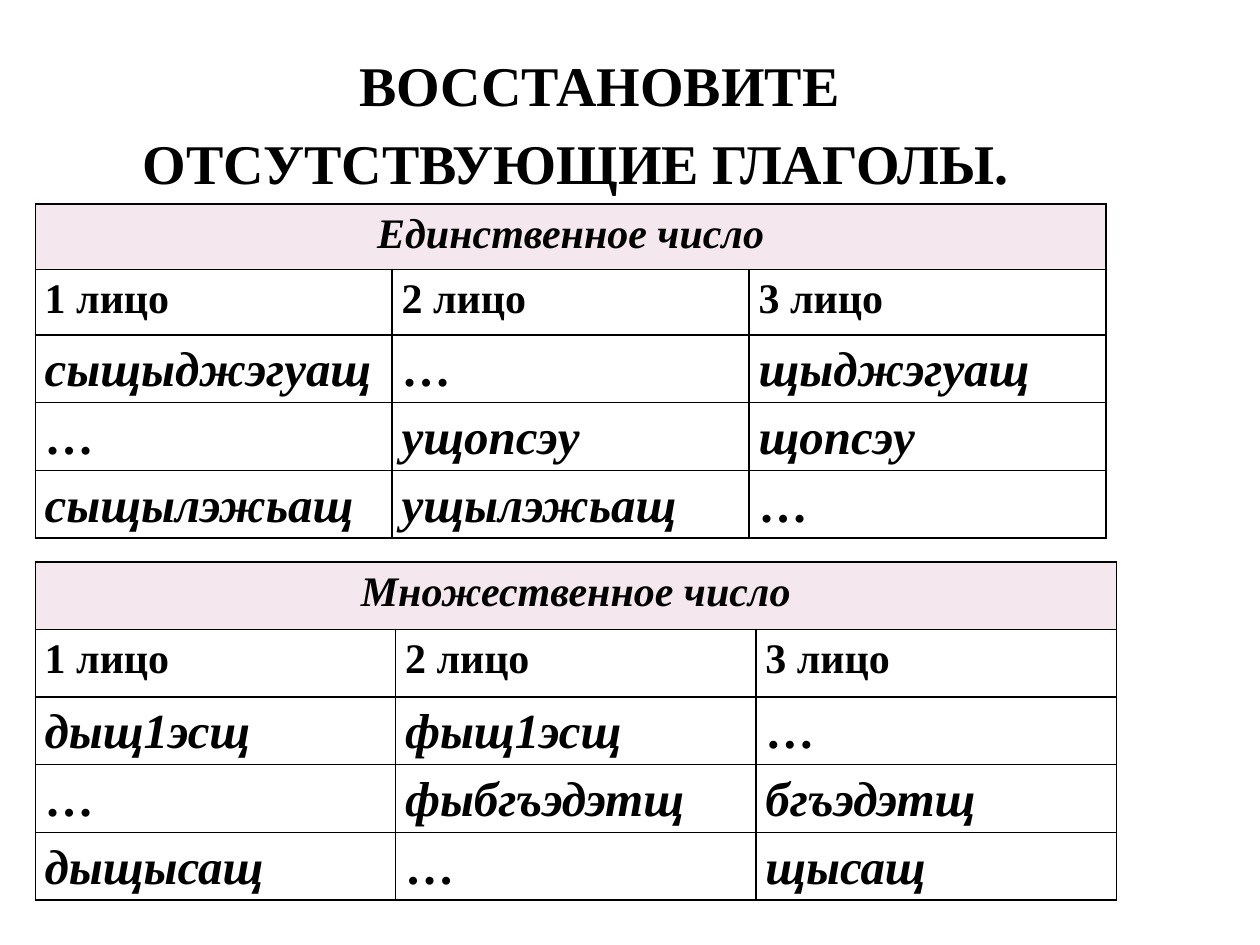
from dataclasses import dataclass

from lxml import etree
from pptx import Presentation
from pptx import util as u
from pptx.dml.color import RGBColor
from pptx.enum import text
from pptx.oxml import ns


@dataclass(frozen=True)
class Theme:
    font: str = "Times New Roman"
    ink: str = "000000"
    header: str = "F4E7ED"
    title_size: int = 32
    label_size: int = 24
    verb_size: int = 28
    spacing: float = 1.15
    border: float = 1


THEME = Theme()
COLS, ROWS = 100, 75
UNIT = u.Inches(10) // COLS
GAP = "…"
PERSONS = ["1 лицо", "2 лицо", "3 лицо"]

TITLE = "ВОССТАНОВИТЕ \vОТСУТСТВУЮЩИЕ ГЛАГОЛЫ."
TITLE_BOX = (2, 1.3, 87.4, 14.2)
TABLES = [
    ((2.8, 16.2, 85, 26), "Единственное число", [
        ["сыщыджэгуащ", GAP, "щыджэгуащ"],
        [GAP, "ущопсэу", "щопсэу"],
        ["сыщылэжьащ", "ущылэжьащ", GAP],
    ]),
    ((2.8, 44.6, 85.8, 26.8), "Множественное число", [
        ["дыщ1эсщ", "фыщ1эсщ", GAP],
        [GAP, "фыбгъэдэтщ", "бгъэдэтщ"],
        ["дыщысащ", GAP, "щысащ"],
    ]),
]


def grid(*values):
    return [u.Emu(round(v * UNIT)) for v in values]


def write(tf, content, size, align, italic=False):
    tf.text = content
    p = tf.paragraphs[0]
    p.alignment = align
    p.line_spacing = THEME.spacing
    for r in p.runs:
        r.font.name = THEME.font
        r.font.size = u.Pt(size)
        r.font.bold = True
        r.font.italic = italic
        r.font.color.rgb = RGBColor.from_string(THEME.ink)
    return p


def add_borders(cell):
    tc_pr = cell._tc.get_or_add_tcPr()
    for side in ("a:lnL", "a:lnR", "a:lnT", "a:lnB"):
        ln = etree.SubElement(tc_pr, ns.qn(side), w=str(u.Pt(THEME.border)))
        fill = etree.SubElement(ln, ns.qn("a:solidFill"))
        etree.SubElement(fill, ns.qn("a:srgbClr"), val=THEME.ink)


def add_title(s, box):
    tf = s.shapes.add_textbox(*grid(*box)).text_frame
    tf.word_wrap = True
    tf.vertical_anchor = text.MSO_ANCHOR.BOTTOM
    tf.margin_left, tf.margin_right, tf.margin_top, tf.margin_bottom = grid(0.5, 0.5, 0, 0)
    p = write(tf, TITLE, THEME.title_size, text.PP_ALIGN.CENTER)
    p._p.get_or_add_pPr().set("indent", str(grid(4.9)[0]))


def add_verb_table(s, box, heading, verbs):
    rows = [[heading], PERSONS, *verbs]
    table = s.shapes.add_table(len(rows), len(PERSONS), *grid(*box)).table
    for cell in table.iter_cells():
        cell.margin_left, cell.margin_right, cell.margin_top, cell.margin_bottom = grid(0.75, 0.75, 0, 0)
        add_borders(cell)
        cell.fill.background()
    head = table.cell(0, 0)
    head.merge(table.cell(0, len(PERSONS) - 1))
    head.fill.solid()
    head.fill.fore_color.rgb = RGBColor.from_string(THEME.header)
    for i, row in enumerate(rows):
        size = THEME.label_size if i < 2 else THEME.verb_size
        align = text.PP_ALIGN.JUSTIFY if i else text.PP_ALIGN.CENTER
        for j, content in enumerate(row):
            italic = i != 1 and content != GAP
            write(table.cell(i, j).text_frame, content, size, align, italic)


def main():
    prs = Presentation()
    prs.slide_width, prs.slide_height = grid(COLS, ROWS)
    s = prs.slides.add_slide(prs.slide_layouts[6])
    add_title(s, TITLE_BOX)
    for box, heading, verbs in TABLES:
        add_verb_table(s, box, heading, verbs)
    prs.save("out.pptx")


if __name__ == "__main__":
    main()
